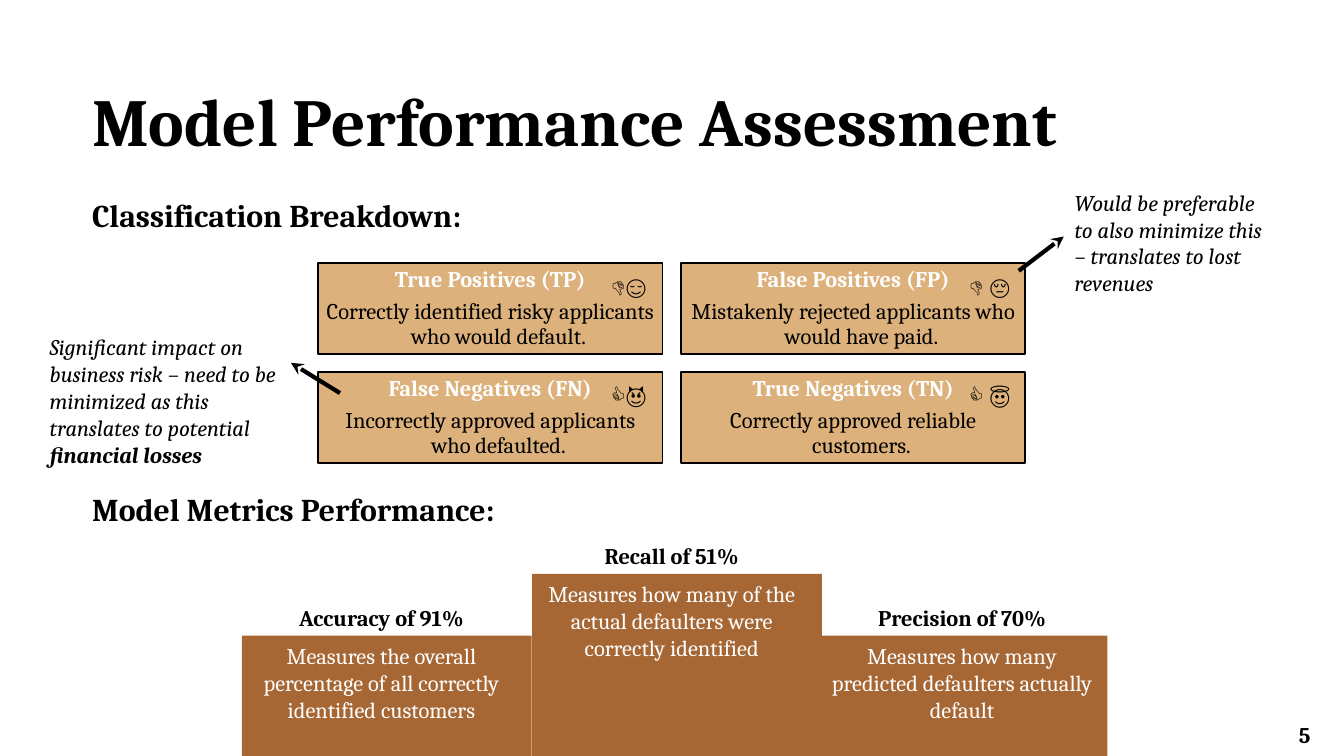
from dataclasses import dataclass

from lxml import etree
from pptx import Presentation
from pptx.dml.color import RGBColor
from pptx.enum.shapes import MSO_CONNECTOR, MSO_SHAPE
from pptx.enum.text import MSO_ANCHOR, PP_ALIGN
from pptx.oxml.ns import qn
from pptx.util import Inches, Pt

RECTANGLE = MSO_SHAPE.RECTANGLE
STRAIGHT = MSO_CONNECTOR.STRAIGHT
TOP, MIDDLE = MSO_ANCHOR.TOP, MSO_ANCHOR.MIDDLE
LEFT, CENTER = PP_ALIGN.LEFT, PP_ALIGN.CENTER
SLIDE_WIDTH, SLIDE_HEIGHT = 20, 11.25


@dataclass(frozen=True)
class Theme:
    """Colours, fonts and type sizes of the deck."""
    ink: RGBColor = RGBColor.from_string("000000")
    light: RGBColor = RGBColor.from_string("FFFFFF")
    card: RGBColor = RGBColor.from_string("DCB17B")
    step: RGBColor = RGBColor.from_string("A66734")
    font: str = "Cambria"
    mark_font: str = "Roboto"
    title: int = 72
    heading: int = 34
    body: int = 24


THEME = Theme()


def add_box(page, left, top, width, height, inset=(0, 0), anchor=TOP):
    """Add a wrapping text box and return its text frame."""
    shape = page.shapes.add_textbox(Inches(left), Inches(top), Inches(width), Inches(height))
    frame = shape.text_frame
    frame.word_wrap = True
    frame.vertical_anchor = anchor
    frame.margin_left = frame.margin_right = Inches(inset[0])
    frame.margin_top = frame.margin_bottom = Inches(inset[1])
    return frame


def style(para, size=THEME.body, color=THEME.ink, bold=False, italic=False,
          font=THEME.font, align=LEFT):
    """Set the font and alignment of a paragraph."""
    para.alignment = align
    para.font.size = Pt(size)
    para.font.name = font
    para.font.bold = bold
    para.font.italic = italic
    para.font.color.rgb = color


def add_line_of_text(page, box, text, **look):
    """Place a single styled paragraph in a box and return it."""
    para = add_box(page, *box).paragraphs[0]
    para.text = text
    style(para, **look)
    return para


def add_rectangle(page, left, top, width, height, color):
    """Add a filled rectangle without outline or shadow."""
    shape = page.shapes.add_shape(RECTANGLE, Inches(left), Inches(top), Inches(width), Inches(height))
    shape.shadow.inherit = False
    shape.fill.solid()
    shape.fill.fore_color.rgb = color
    shape.line.fill.background()
    return shape


def add_arrow(page, start, end):
    """Draw a thick arrow with a stealth head."""
    arrow = page.shapes.add_connector(STRAIGHT, *map(Inches, start + end))
    arrow.line.color.rgb = THEME.ink
    arrow.line.width = Pt(4.5)
    line = arrow.line._get_or_add_ln()
    etree.SubElement(line, qn("a:tailEnd"), type="stealth")
    etree.SubElement(arrow._element.spPr, qn("a:effectLst"))


def add_card(page, left, top, width, height, title, detail):
    """Draw one outlined cell of the confusion matrix."""
    card = add_rectangle(page, left, top, width, height, THEME.card)
    card.line.color.rgb = THEME.ink
    card.line.width = Pt(2)
    frame = add_box(page, left, top, width, height, (0.1, 0.1), MIDDLE)
    heading, body = frame.paragraphs[0], frame.add_paragraph()
    heading.text, body.text = title, detail
    body.level = 1
    body.space_before = Pt(8.4)
    indents = body._p.get_or_add_pPr()
    indents.set("marL", str(Inches(0.25)))
    indents.set("indent", str(-Inches(0.25)))
    style(heading, color=THEME.light, bold=True, align=CENTER)
    style(body, align=CENTER)
    heading.line_spacing = body.line_spacing = 0.9


def add_matrix(page, left, top, width, height):
    """Lay out the four classification cards in a two by two grid."""
    gap = 0.27
    card_width, card_height = (width - gap) / 2, (height - gap) / 2
    cards = [
        ("True Positives (TP)", "Correctly identified risky applicants who would default."),
        ("False Positives (FP)", "Mistakenly rejected applicants who would have paid."),
        ("False Negatives (FN)", "Incorrectly approved applicants who defaulted."),
        ("True Negatives (TN)", "Correctly approved reliable customers."),
    ]
    for index, (title, detail) in enumerate(cards):
        row, column = divmod(index, 2)
        add_card(page, left + column * (card_width + gap), top + row * (card_height + gap),
                 card_width, card_height, title, detail)


def add_marks(page, left, top):
    """Place the emoji pair of each card on a two by two grid."""
    for index, marks in enumerate(("👎😌", "👎 😔", "👍😈", "👍 😇")):
        row, column = divmod(index, 2)
        frame = add_box(page, left + column * 5.33, top + row * 1.6, 1.08, 0.5, (0.1, 0.05))
        frame.paragraphs[0].text = marks
        style(frame.paragraphs[0], font=THEME.mark_font)


def add_podium(page, left, top, width, bottom):
    """Draw three metric steps, the middle one raised, with their captions."""
    step_width, drop, caption_rise = 4.31, 0.92, 0.47
    side_top = top + drop
    middle_left = left + step_width + 0.01
    for step_left, step_top in ((left, side_top), (left + width - step_width, side_top),
                                (middle_left, top)):
        add_rectangle(page, step_left, step_top, step_width, bottom - step_top, THEME.step)
    metrics = [
        ("Accuracy of 91%", "Measures the overall percentage of all correctly identified customers", side_top),
        ("Recall of 51%", "Measures how many of the actual defaulters were correctly identified", top),
        ("Precision of 70%", "Measures how many predicted defaulters actually default", side_top),
    ]
    for index, (title, detail, step_top) in enumerate(metrics):
        frame = add_box(page, left + 0.03 + index * 4.32, step_top - caption_rise, 4.09, 1.78)
        heading, body = frame.paragraphs[0], frame.add_paragraph()
        heading.text, body.text = title, detail
        body.space_before = Pt(12)
        style(heading, bold=True, align=CENTER)
        style(body, color=THEME.light, align=CENTER)


def add_note(page, box, text, strong=""):
    """Place an indented italic remark, with an optional bold ending."""
    para = add_box(page, *box).paragraphs[0]
    para._p.get_or_add_pPr().set("marL", str(Inches(0.5)))
    para.add_run().text = text
    style(para, italic=True)
    if strong:
        span = para.add_run()
        span.text = strong
        span.font.bold = True


def build_performance_slide(page):
    """Compose the model performance slide."""
    add_podium(page, 3.6, 8.54, 12.88, SLIDE_HEIGHT)
    number = add_line_of_text(page, (19.33, 10.54, 0.67, 0.46), "5", bold=True)
    number.line_spacing = 1.48
    add_line_of_text(page, (1.37, 1.18, 16.88, 1.21), "Model Performance Assessment",
                     size=THEME.title, bold=True)
    add_matrix(page, 4.73, 3.92, 10.53, 2.97)
    for top, heading in ((2.92, "Classification Breakdown:"), (7.29, "Model Metrics Performance:")):
        add_line_of_text(page, (1.37, top, 11.13, 0.57), heading, size=THEME.heading, bold=True)
    add_note(page, (0.24, 4.96, 4.09, 2.02),
             "Significant impact on business risk – need to be minimized as this translates to potential ",
             "financial losses")
    add_arrow(page, (5.06, 5.85), (4.33, 5.4))
    add_note(page, (15.49, 2.81, 3.42, 2.02),
             "Would be preferable to also minimize this – translates to lost revenues")
    add_arrow(page, (15.16, 4.03), (15.83, 3.52))
    add_marks(page, 8.99, 4.02)


def main():
    """Create the deck and save it."""
    deck = Presentation()
    deck.slide_width, deck.slide_height = Inches(SLIDE_WIDTH), Inches(SLIDE_HEIGHT)
    build_performance_slide(deck.slides.add_slide(deck.slide_layouts[6]))
    deck.save("out.pptx")


if __name__ == "__main__":
    main()
